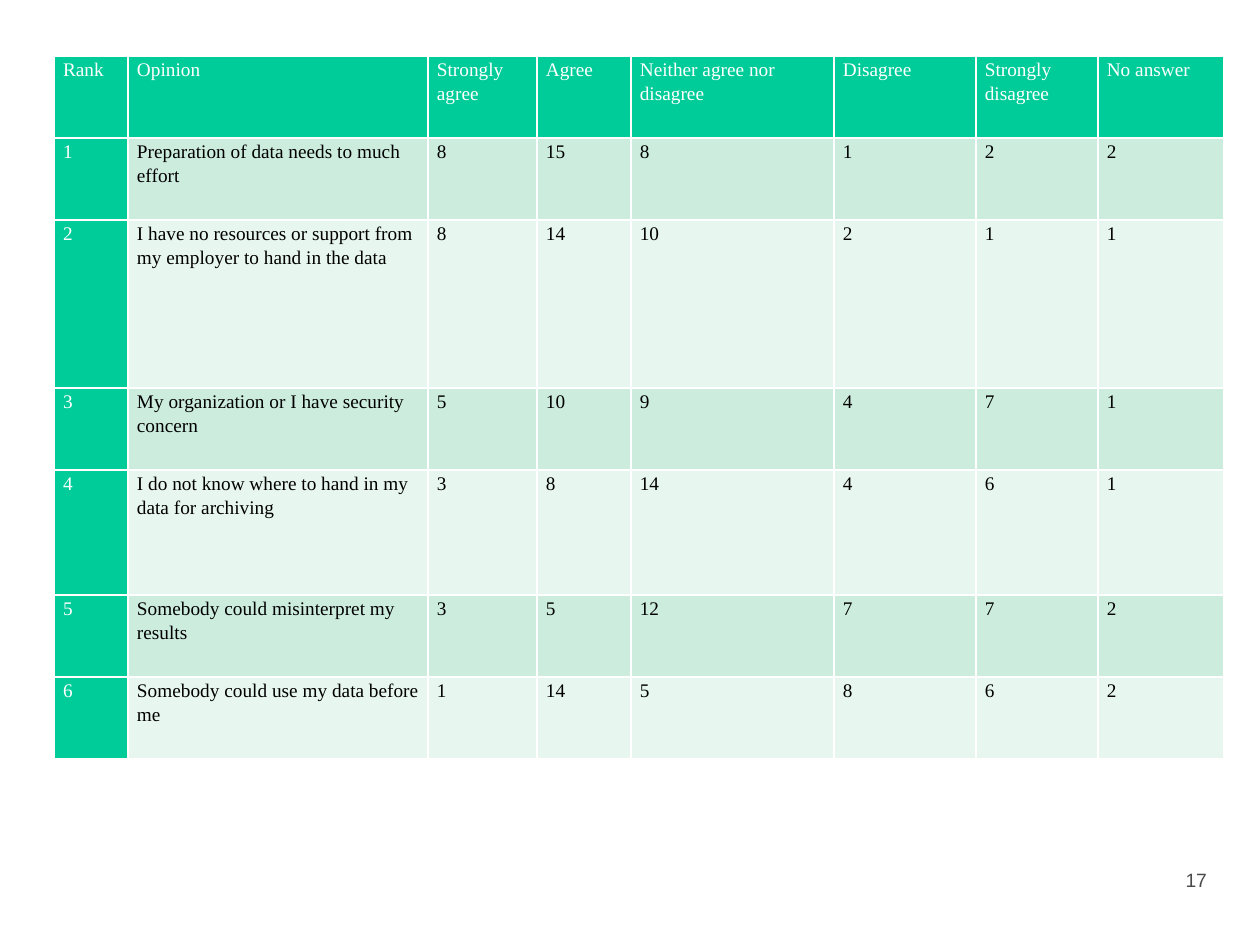
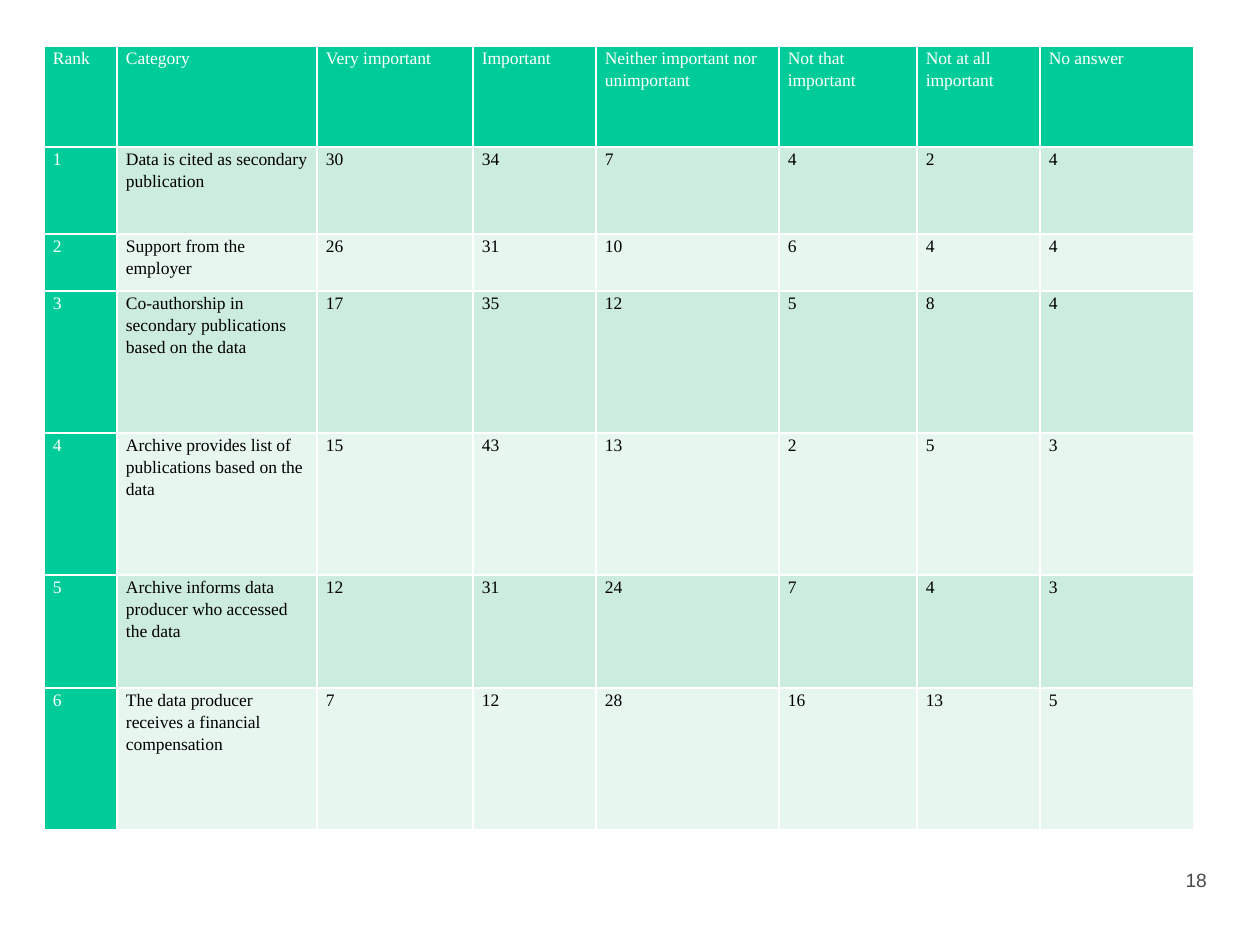
from pptx import Presentation
from pptx.util import Emu, Pt
from pptx.dml.color import RGBColor
from pptx.enum.text import PP_ALIGN
from lxml.etree import SubElement
from pptx.oxml.ns import qn

COLORS = {
    "green": "00CC99",
    "band": "CCECDE",
    "light": "E7F6EF",
    "white": "FFFFFF",
    "black": "000000",
    "grey": "4A4A4A",
}

SURVEYS = [
    {
        "number": "17",
        "left": 54, "top": 56, "size": 11,
        "cols": [74, 300, 109, 94, 203, 142, 122, 126],
        "rows": [82, 82, 168, 82, 125, 82, 82],
        "header": ["Rank", "Opinion", "Strongly agree", "Agree", "Neither agree nor disagree",
                   "Disagree", "Strongly disagree", "No answer"],
        "answers": [
            ("Preparation of data needs to much effort", 8, 15, 8, 1, 2, 2),
            ("I have no resources or support from my employer to hand in the data", 8, 14, 10, 2, 1, 1),
            ("My organization or I have security concern", 5, 10, 9, 4, 7, 1),
            ("I do not know where to hand in my data for archiving", 3, 8, 14, 4, 6, 1),
            ("Somebody could misinterpret my results", 3, 5, 12, 7, 7, 2),
            ("Somebody could use my data before me", 1, 14, 5, 8, 6, 2),
        ],
    },
    {
        "number": "18",
        "left": 44, "top": 46, "size": 10,
        "cols": [73, 200, 156, 123, 183, 138, 123, 154],
        "rows": [101, 87, 57, 142, 142, 113, 142],
        "header": ["Rank", "Category", "Very important", "Important",
                   "Neither important nor unimportant", "Not that important",
                   "Not at all important", "No answer"],
        "answers": [
            ("Data is cited as secondary publication", 30, 34, 7, 4, 2, 4),
            ("Support from the employer", 26, 31, 10, 6, 4, 4),
            ("Co-authorship in secondary publications based on the data", 17, 35, 12, 5, 8, 4),
            ("Archive provides list of publications based on the data", 15, 43, 13, 2, 5, 3),
            ("Archive informs data producer who accessed the data", 12, 31, 24, 7, 4, 3),
            ("The data producer receives a financial compensation", 7, 12, 28, 16, 13, 5),
        ],
    },
]


def px(n):
    return Emu(round(n * 914400 / 126))


def write(tf, text, size, color, font="Times New Roman", align=PP_ALIGN.LEFT, spacing=None):
    tf.word_wrap = True
    p = tf.paragraphs[0]
    p.alignment = align
    p.line_spacing = spacing
    r = p.add_run()
    r.text = text
    r.font.size = Pt(size)
    r.font.name = font
    r.font.color.rgb = RGBColor.from_string(COLORS[color])


def add_borders(cell, color="white", width=1):
    tcPr = cell._tc.get_or_add_tcPr()
    for side in ("lnL", "lnR", "lnT", "lnB"):
        ln = SubElement(tcPr, qn("a:" + side), w=str(Pt(width)))
        fill = SubElement(ln, qn("a:solidFill"))
        SubElement(fill, qn("a:srgbClr"), val=COLORS[color])


def format_cell(cell, text, size, fill, color):
    cell.margin_left = cell.margin_right = px(9)
    cell.margin_top = cell.margin_bottom = 0
    add_borders(cell)
    cell.fill.solid()
    cell.fill.fore_color.rgb = RGBColor.from_string(COLORS[fill])
    write(cell.text_frame, text, size, color, spacing=1.15)


def add_survey_table(s, survey):
    cols, rows = survey["cols"], survey["rows"]
    table = s.shapes.add_table(len(rows), len(cols), px(survey["left"]), px(survey["top"]),
                               px(sum(cols)), px(sum(rows))).table
    for column, width in zip(table.columns, cols):
        column.width = px(width)
    for row, height in zip(table.rows, rows):
        row.height = px(height)
    ranked = [(rank, *answer) for rank, answer in enumerate(survey["answers"], 1)]
    for i, values in enumerate([survey["header"], *ranked]):
        for j, value in enumerate(values):
            if i == 0 or j == 0:
                fill, color = "green", "white"
            else:
                fill, color = "band" if i % 2 else "light", "black"
            format_cell(table.cell(i, j), str(value), survey["size"], fill, color)


def add_slide_number(s, number):
    tf = s.shapes.add_textbox(px(1061), px(868), px(146), px(63)).text_frame
    tf.margin_left = tf.margin_right = tf.margin_top = tf.margin_bottom = 0
    write(tf, number, 11, "grey", font="Arial", align=PP_ALIGN.RIGHT)


def main():
    prs = Presentation()
    prs.slide_width, prs.slide_height = px(1260), px(945)
    for survey in SURVEYS:
        s = prs.slides.add_slide(prs.slide_layouts[6])
        add_slide_number(s, survey["number"])
        add_survey_table(s, survey)
    prs.save("out.pptx")


if __name__ == "__main__":
    main()
